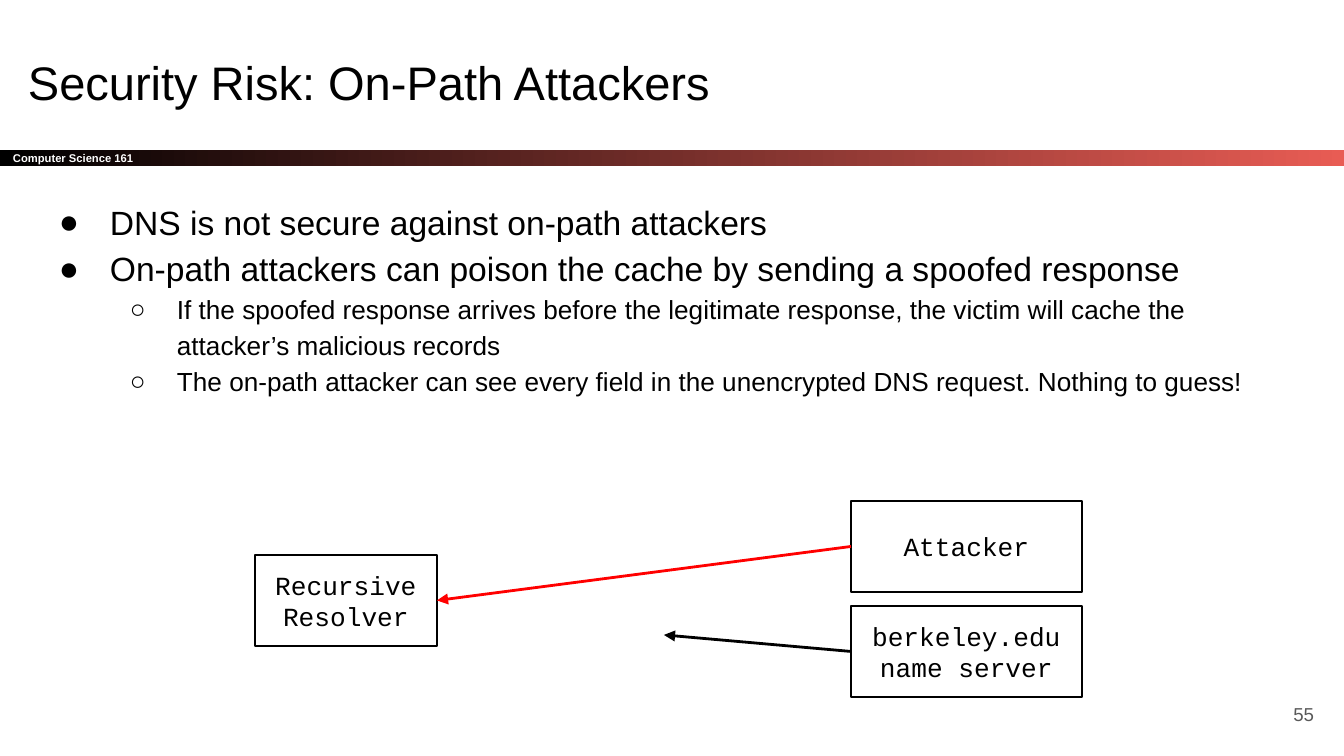
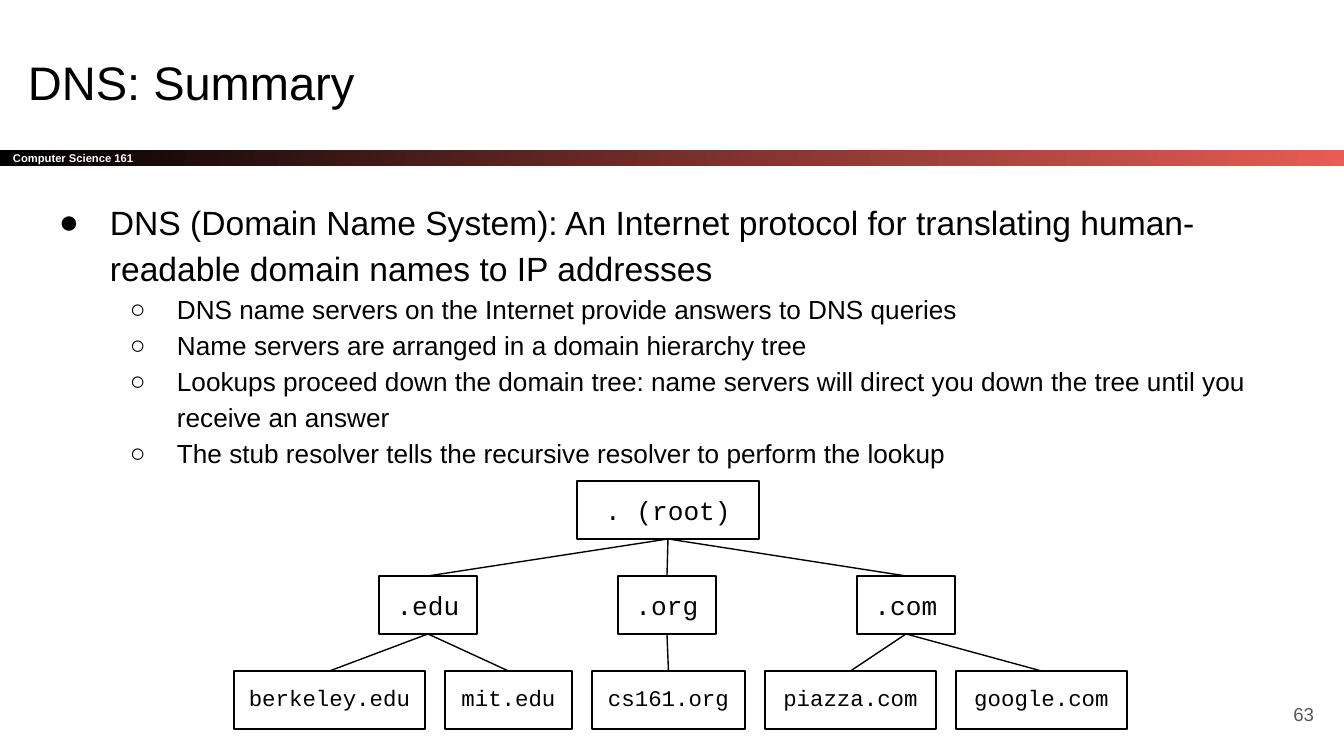
from pptx import Presentation
from pptx.dml.color import RGBColor
from pptx.enum.shapes import MSO_CONNECTOR as Connector, MSO_SHAPE as Shape
from pptx.enum.text import MSO_ANCHOR as Anchor, PP_ALIGN as Align
from pptx.oxml.xmlchemy import OxmlElement
from pptx.util import Emu, Pt

# Shared look
BLACK = RGBColor(0x00, 0x00, 0x00)
WHITE = RGBColor(0xFF, 0xFF, 0xFF)
RED = RGBColor(0xFF, 0x00, 0x00)
CORAL = RGBColor(0xE8, 0x5C, 0x54)
GRAY = RGBColor(0x59, 0x59, 0x59)
SANS, MONO = "Arial", "Courier New"
INSET = 13
COURSE = "Computer Science 161"

# Bullet levels: character, size, left margin, hanging indent
LEVELS = [("●", 18, 67, -51), ("○", 14, 134, -47)]

# Slide content: bullets are (level, text)
ATTACK = {
    "title": "Security Risk: On-Path Attackers",
    "number": "55",
    "bullets": [
        (0, "DNS is not secure against on-path attackers"),
        (0, "On-path attackers can poison the cache by sending a spoofed response"),
        (1, "If the spoofed response arrives before the legitimate response, "
            "the victim will cache the attacker’s malicious records"),
        (1, "The on-path attacker can see every field in the unencrypted DNS "
            "request. Nothing to guess!"),
    ],
}
SUMMARY = {
    "title": "DNS: Summary",
    "number": "63",
    "bullets": [
        (0, "DNS (Domain Name System): An Internet protocol for translating "
            "human-readable domain names to IP addresses"),
        (1, "DNS name servers on the Internet provide answers to DNS queries"),
        (1, "Name servers are arranged in a domain hierarchy tree"),
        (1, "Lookups proceed down the domain tree: name servers will direct you "
            "down the tree until you receive an answer"),
        (1, "The stub resolver tells the recursive resolver to perform the lookup"),
    ],
}
HOSTS = {
    "resolver": ("Recursive Resolver", (255, 555, 182, 91)),
    "attacker": ("Attacker", (851, 501, 231, 91)),
    "server": ("berkeley.edu name server", (851, 606, 231, 91)),
}
LATE_REPLY_END = (664, 635)

# Domain tree: each top-level domain with its (name, box width) children
ROOT = ". (root)"
DOMAINS = {
    ".edu": [("berkeley.edu", 191), ("mit.edu", 127)],
    ".org": [("cs161.org", 153)],
    ".com": [("piazza.com", 171), ("google.com", 171)],
}
TREE_TOP, ROW_STEP, NODE_HEIGHT = 481, 95, 58
ROOT_LEFT, ROOT_WIDTH = 577, 182
DOMAIN_LEFT, DOMAIN_WIDTH, DOMAIN_STEP = 379, 98, 239
LEAF_LEFT, LEAF_GAP = 234, 20


def px(length):
    return Emu(round(length * 914400 / 134.4))


def prepare(shape, anchor=Anchor.TOP, inset_y=INSET):
    frame = shape.text_frame
    frame.word_wrap = True
    frame.vertical_anchor = anchor
    frame.margin_left = frame.margin_right = px(INSET)
    frame.margin_top = frame.margin_bottom = px(inset_y)
    return frame


def write(para, text, size, font=SANS, color=BLACK, bold=False, align=Align.LEFT):
    para.alignment = align
    span = para.add_run()
    span.text = text
    span.font.name, span.font.size = font, Pt(size)
    span.font.color.rgb, span.font.bold = color, bold


def add_text(page, rect, text, size, anchor=Anchor.TOP, **style):
    box = page.shapes.add_textbox(*map(px, rect))
    write(prepare(box, anchor).paragraphs[0], text, size, **style)


def add_band(page):
    band = page.shapes.add_shape(Shape.RECTANGLE, *map(px, (0, 150, 1344, 16)))
    band.shadow.inherit = False
    band.line.fill.background()
    band.fill.gradient()
    band.fill.gradient_angle = 0
    for stop, color, position in zip(band.fill.gradient_stops, (BLACK, CORAL), (0, 1)):
        stop.color.rgb, stop.position = color, position
    frame = prepare(band, Anchor.MIDDLE, inset_y=0)
    write(frame.paragraphs[0], COURSE, 6, color=WHITE, bold=True)


def add_bullets(page, bullets):
    box = page.shapes.add_textbox(*map(px, (30, 183, 1253, 296)))
    frame = prepare(box)
    for index, (level, text) in enumerate(bullets):
        para = frame.add_paragraph() if index else frame.paragraphs[0]
        mark, size, margin, indent = LEVELS[level]
        props = para._p.get_or_add_pPr()
        props.set("marL", str(px(margin)))
        props.set("indent", str(px(indent)))
        tint = OxmlElement("a:buClr")
        shade = OxmlElement("a:srgbClr")
        shade.set("val", str(BLACK))
        tint.append(shade)
        face = OxmlElement("a:buFont")
        face.set("typeface", SANS)
        bullet = OxmlElement("a:buChar")
        bullet.set("char", mark)
        props.extend([tint, face, bullet])
        para.level = level
        para.line_spacing = 1.15
        write(para, text, size)


def add_node(page, text, rect, size=14, anchor=Anchor.TOP):
    node = page.shapes.add_shape(Shape.RECTANGLE, *map(px, rect))
    node.shadow.inherit = False
    node.fill.background()
    node.line.color.rgb, node.line.width = BLACK, Pt(0.75)
    write(prepare(node, anchor).paragraphs[0], text, size, MONO, align=Align.CENTER)


def add_line(page, start, end, color=BLACK, width=0.75, arrow=False):
    line = page.shapes.add_connector(Connector.STRAIGHT, *map(px, start + end))
    line.line.color.rgb, line.line.width = color, Pt(width)
    line._element.spPr.append(OxmlElement("a:effectLst"))
    if arrow:
        head = OxmlElement("a:headEnd")
        head.set("type", "triangle")
        line.line._get_or_add_ln().append(head)


def side(rect, across, down):
    """Point at the given fractions of a rectangle's width and height."""
    left, top, width, height = rect
    return left + width * across, top + height * down


def add_page(deck, content):
    page = deck.slides.add_slide(deck.slide_layouts[6])
    add_band(page)
    add_text(page, (15, 40, 1253, 85), content["title"], 25.2)
    add_bullets(page, content["bullets"])
    add_text(page, (1246, 685, 81, 58), content["number"], 10, Anchor.MIDDLE,
             color=GRAY, align=Align.RIGHT)
    return page


def draw_attack(page):
    for name, rect in HOSTS.values():
        add_node(page, name, rect, anchor=Anchor.MIDDLE)
    resolver, attacker, server = (HOSTS[key][1] for key in ("resolver", "attacker", "server"))
    add_line(page, LATE_REPLY_END, side(server, 0, 0.5), BLACK, 1.5, arrow=True)
    add_line(page, side(resolver, 1, 0.5), side(attacker, 0, 0.5), RED, 1.5, arrow=True)


def draw_tree(page):
    root_row, domain_row, leaf_row = (TREE_TOP + ROW_STEP * row for row in range(3))
    root = (ROOT_LEFT, root_row, ROOT_WIDTH, NODE_HEIGHT)
    add_node(page, ROOT, root, anchor=Anchor.MIDDLE)
    leaf_left = LEAF_LEFT
    for column, (name, leaves) in enumerate(DOMAINS.items()):
        domain = (DOMAIN_LEFT + DOMAIN_STEP * column, domain_row, DOMAIN_WIDTH, NODE_HEIGHT)
        add_node(page, name, domain)
        add_line(page, side(root, 0.5, 1), side(domain, 0.5, 0))
        for host, width in leaves:
            leaf = (leaf_left, leaf_row, width, NODE_HEIGHT)
            add_node(page, host, leaf, 12)
            add_line(page, side(domain, 0.5, 1), side(leaf, 0.5, 0))
            leaf_left += width + LEAF_GAP


def main():
    deck = Presentation()
    deck.slide_width, deck.slide_height = px(1344), px(756)
    draw_attack(add_page(deck, ATTACK))
    draw_tree(add_page(deck, SUMMARY))
    deck.save("out.pptx")


if __name__ == "__main__":
    main()
